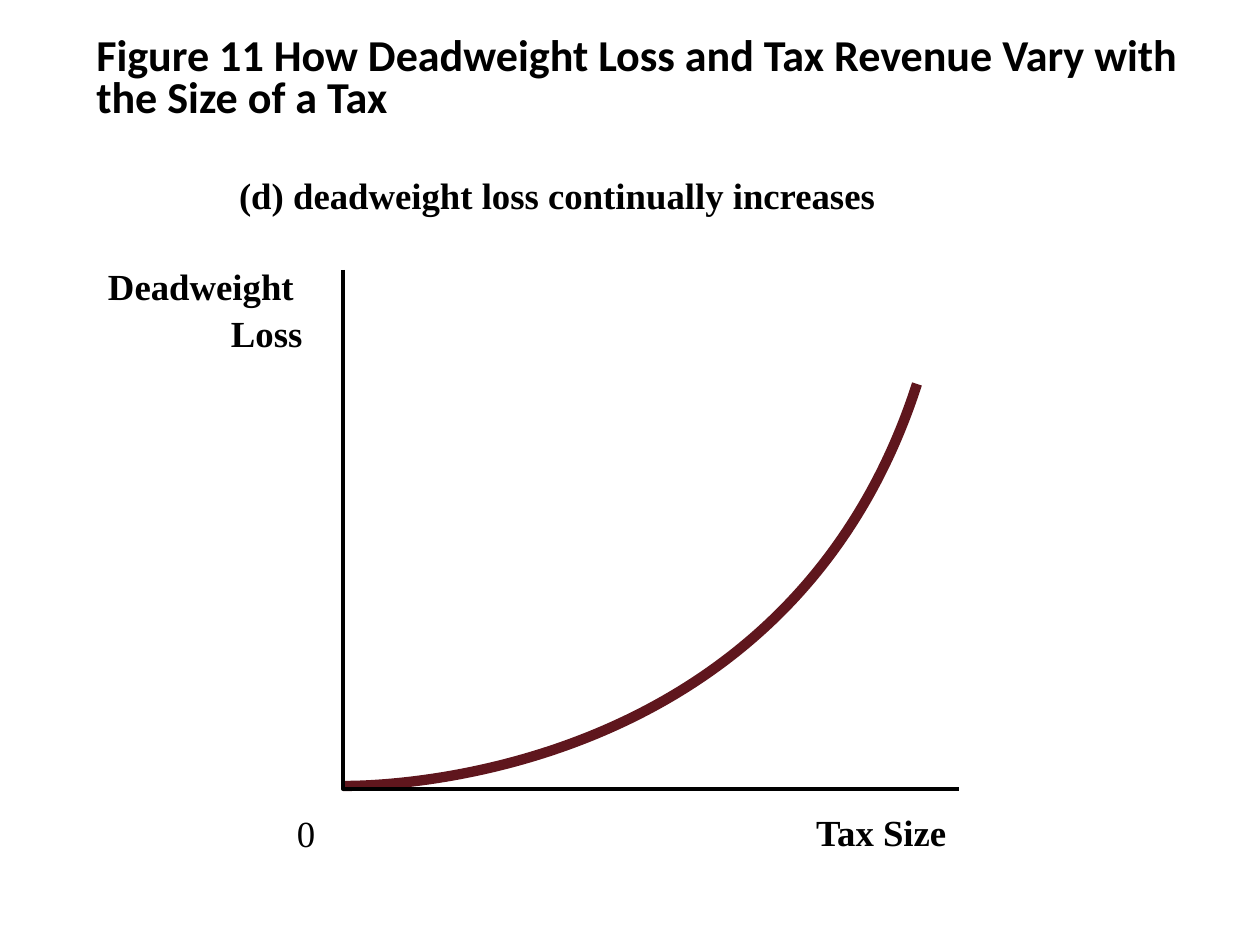
from lxml.etree import SubElement
from pptx import Presentation
from pptx.dml.color import RGBColor
from pptx.enum.text import MSO_ANCHOR, MSO_AUTO_SIZE
from pptx.oxml.ns import qn
from pptx.util import Pt

PX = 914400 / 126
COLORS = {"ink": "000000", "curve": "5F161D", "paper": "FFFFFF"}


def px(length):
    return round(length * PX)


def color(name):
    return RGBColor.from_string(COLORS[name])


def add_text(page, box, text, frame_format, font_format, line_spacing=None):
    frame = page.shapes.add_textbox(*map(px, box)).text_frame
    for name, value in frame_format.items():
        setattr(frame, name, value)
    para = frame.paragraphs[0]
    para.line_spacing = line_spacing
    span = para.add_run()
    span.text = text
    for name, value in font_format.items():
        setattr(span.font, name, value)
    span.font.color.rgb = color("ink")


def add_title(page, box, text):
    frame_format = {"word_wrap": True, "vertical_anchor": MSO_ANCHOR.MIDDLE}
    font_format = {"name": "Calibri", "size": Pt(25.2), "bold": True}
    add_text(page, box, text, frame_format, font_format, 0.8)


def add_label(page, box, text, bold=True):
    frame_format = dict.fromkeys(
        ("margin_left", "margin_top", "margin_right", "margin_bottom"), 0)
    frame_format.update(word_wrap=False,
                        auto_size=MSO_AUTO_SIZE.SHAPE_TO_FIT_TEXT)
    font_format = {"name": "Times New Roman", "size": Pt(21), "bold": bold}
    add_text(page, box, text, frame_format, font_format)


def add_open_line(page, points, line_color, width):
    builder = page.shapes.build_freeform(*points[0], scale=PX)
    builder.add_line_segments(points[1:], close=False)
    shape = builder.convert_to_shape()
    shape.shadow.inherit = False
    shape.fill.background()
    shape.line.color.rgb = color(line_color)
    shape.line.width = Pt(width)
    return shape


def add_curve(page, start, controls, end):
    """Draw a rising cubic curve by bending the one segment of a line."""
    shape = add_open_line(page, [start, end], "curve", 5.88)
    segment = next(shape._element.iter(qn("a:lnTo")))
    outline = segment.getparent()
    bend = SubElement(outline, qn("a:cubicBezTo"))
    for x, y in (*controls, end):
        SubElement(bend, qn("a:pt"), x=str(x - start[0]), y=str(y - end[1]))
    outline.remove(segment)


def add_graph(page, box):
    left, top, width, height = box
    bottom = top + height
    start_y = bottom - 3
    add_curve(page, (left, start_y),
              [(left + 103, start_y), (left + 457, start_y - 39)],
              (left + 574, top + 114))
    add_open_line(page, [(left, top), (left, bottom), (left + width, bottom)],
                  "ink", 2)
    labels = [
        ("(d) deadweight loss continually increases", -104, -97, 735, True),
        ("Deadweight", -235, -6, 207, True),
        ("Loss", -112, 41, 86, True),
        ("0", -46, height + 22, 20, False),
        ("Tax Size", 473, height + 21, 147, True),
    ]
    for text, x, y, label_width, bold in labels:
        add_label(page, (left + x, top + y, label_width, 44), text, bold)


def main():
    deck = Presentation()
    deck.slide_width, deck.slide_height = px(1260), px(945)
    page = deck.slides.add_slide(deck.slide_layouts[6])
    page.background.fill.solid()
    page.background.fill.fore_color.rgb = color("paper")
    add_title(page, (84, 32, 1134, 95),
              "Figure 11 How Deadweight Loss and Tax Revenue Vary with "
              "the Size of a Tax")
    add_graph(page, (343, 270, 616, 519))
    deck.save("out.pptx")


if __name__ == "__main__":
    main()
